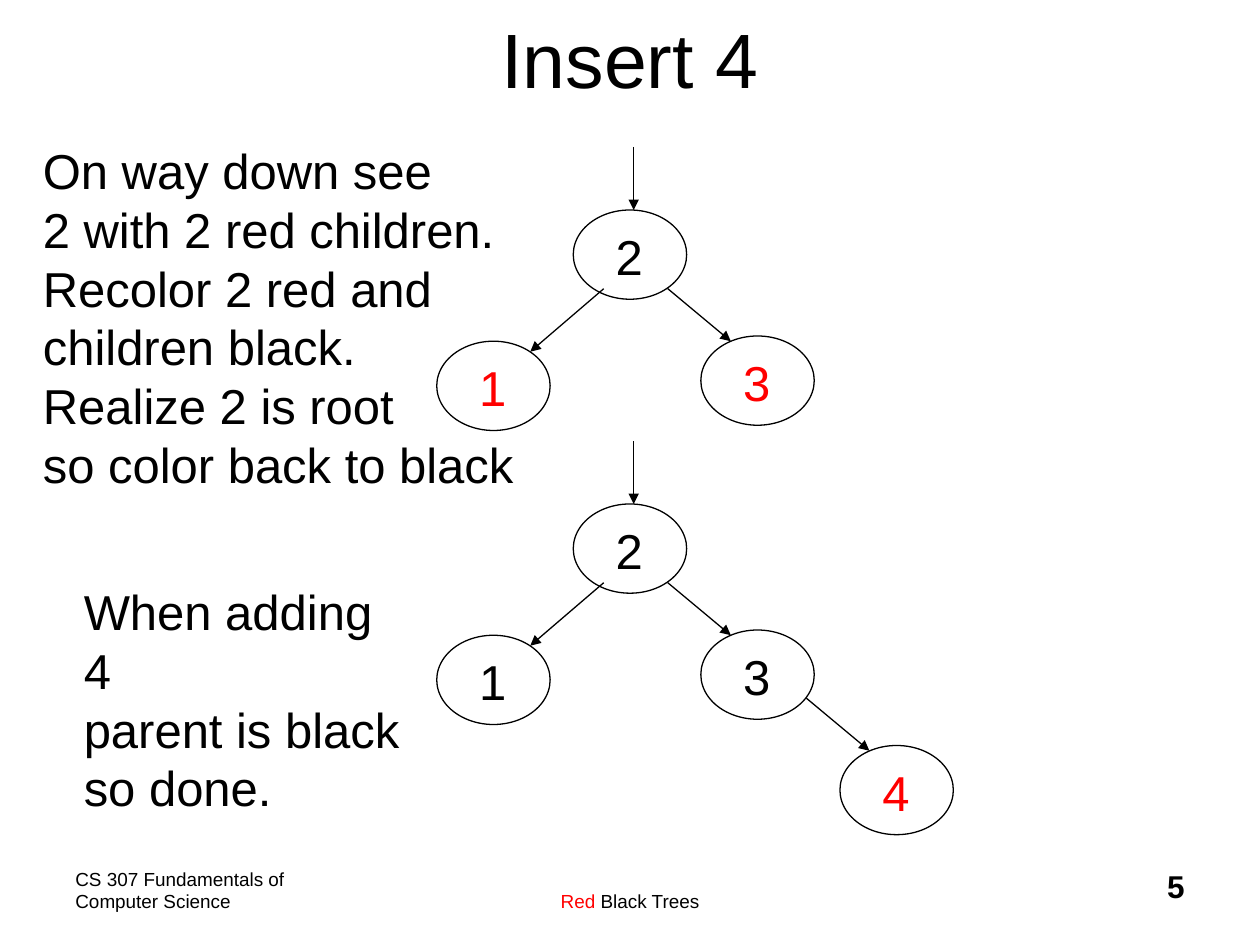
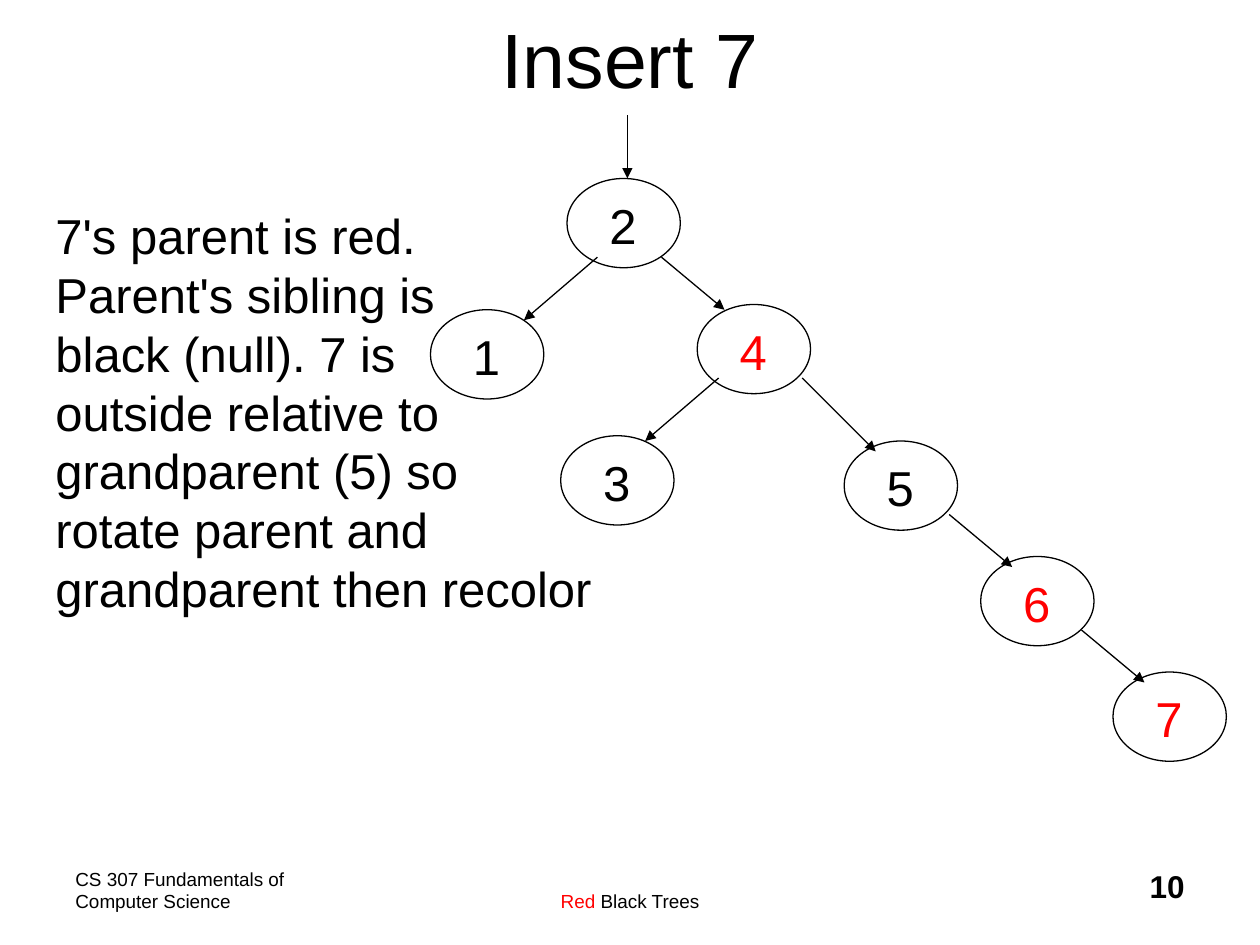
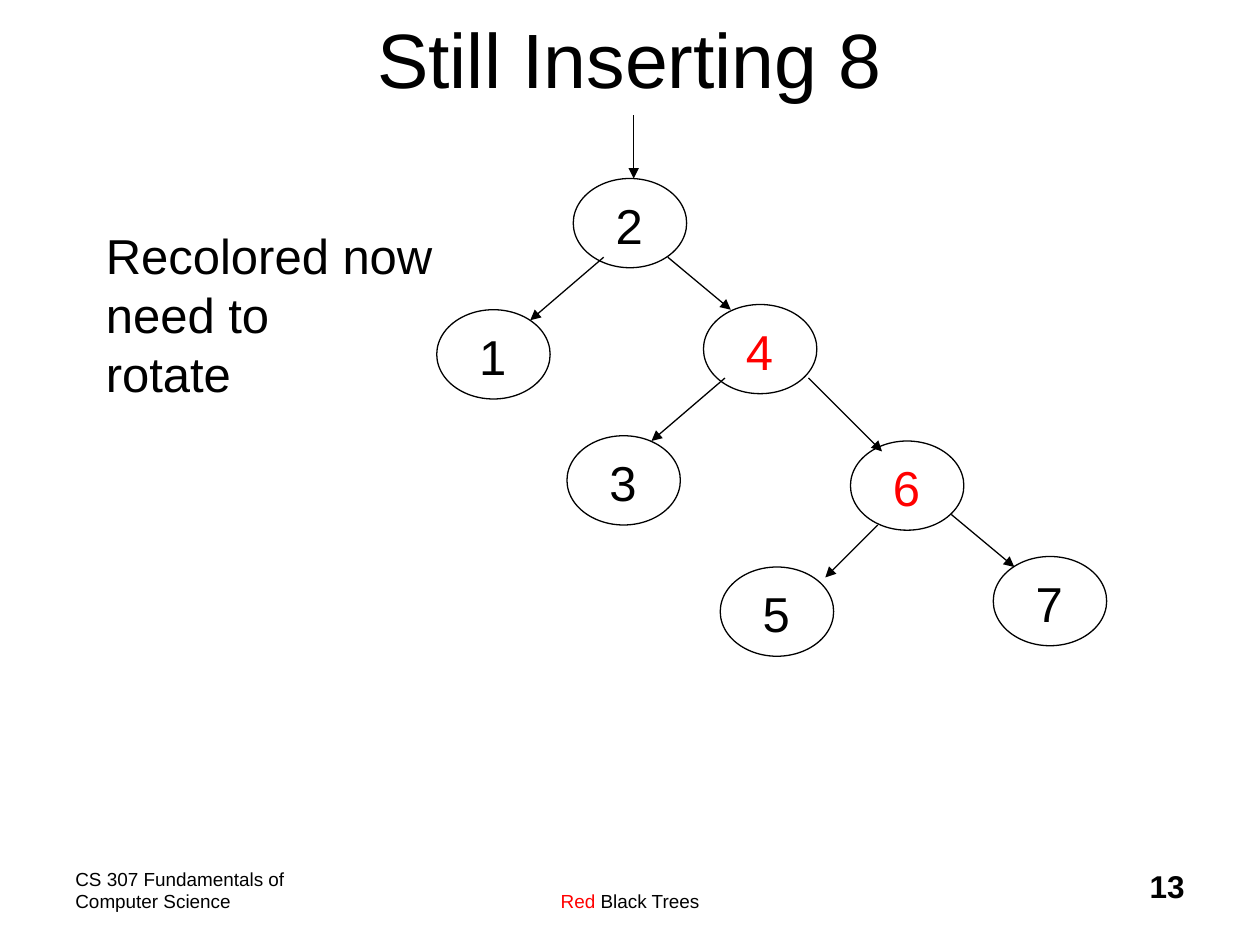
from dataclasses import dataclass

from lxml import etree
from pptx import Presentation
from pptx.dml.color import RGBColor
from pptx.enum.shapes import MSO_CONNECTOR, MSO_SHAPE
from pptx.enum.text import MSO_ANCHOR, MSO_AUTO_SIZE, PP_ALIGN
from pptx.oxml.ns import qn
from pptx.shapes.group import GroupShape
from pptx.slide import Slide
from pptx.text.text import TextFrame
from pptx.util import Inches, Pt

LEFT, CENTER, RIGHT = PP_ALIGN.LEFT, PP_ALIGN.CENTER, PP_ALIGN.RIGHT
MIDDLE, TOP = MSO_ANCHOR.MIDDLE, MSO_ANCHOR.TOP
FIT_SHAPE, FIXED_SIZE = MSO_AUTO_SIZE.SHAPE_TO_FIT_TEXT, MSO_AUTO_SIZE.NONE
ELLIPSE, STRAIGHT = MSO_SHAPE.OVAL, MSO_CONNECTOR.STRAIGHT

# The slide is a grid of 120 columns by 90 rows of square cells.
SLIDE_WIDTH, SLIDE_HEIGHT = Inches(10), Inches(7.5)
CELL = SLIDE_WIDTH / 120
TITLE_ONLY_LAYOUT = 5

Pair = tuple[float, float]
Box = tuple[float, float, float, float]


@dataclass(frozen=True)
class Theme:
    font: str = "Arial"
    black: RGBColor = RGBColor(0, 0, 0)
    red: RGBColor = RGBColor(255, 0, 0)
    title_size: float = 44
    text_size: float = 28
    number_size: float = 18
    footer_size: float = 10.8
    line_height: float = 1.2
    line_width: float = 0.75


THEME = Theme()


@dataclass(frozen=True)
class Run:
    text: str
    color: RGBColor = THEME.black


@dataclass(frozen=True)
class Node:
    """A tree node placed relative to its root, with the arrow that reaches it."""
    value: int
    offset: Pair
    arrow_span: Pair
    arrow_tip: Pair
    color: RGBColor = THEME.black


@dataclass(frozen=True)
class Tree:
    root: Pair
    nodes: list[Node]


@dataclass(frozen=True)
class Note:
    box: Box
    text: str


@dataclass(frozen=True)
class TreeSlide:
    title: str
    number: int
    trees: list[Tree]
    notes: list[Note]


TITLE_BOX: Box = (9, -2, 102, 15)
COURSE_BOX: Box = (6, 82, 30, 6)
TOPIC_BOX: Box = (37, 82, 46, 6)
NUMBER_BOX: Box = (89, 82, 25, 6)
NODE_SIZE: Pair = (10.8, 8.5)
LABEL_OFFSET: Pair = (2.85, 1)
LABEL_SIZE: Pair = (4.9, 6.8)

DOWN: Pair = (0, 6)
DOWN_RIGHT: Pair = (6, 5)
DOWN_LEFT: Pair = (-7, 6)
STEEP_RIGHT: Pair = (7, 7)
STEEP_LEFT: Pair = (-5, 5)

ROOT = Node(2, (0, 0), DOWN, (5.75, 0))


def one(color: RGBColor = THEME.black) -> Node:
    return Node(1, (-13, 12.5), DOWN_LEFT, (8.9, 1), color)


def three(color: RGBColor = THEME.black) -> Node:
    return Node(3, (12.15, 12), DOWN_RIGHT, (2.85, 0.5), color)


FOUR_OVER_THREE = [
    ROOT,
    one(),
    Node(4, (12.4, 12), DOWN_RIGHT, (2.6, 0.5), THEME.red),
    Node(3, (-0.6, 24.5), DOWN_LEFT, (8.05, 0.5)),
]

SLIDES = [
    TreeSlide(
        "Insert 4", 5,
        [
            Tree((54.6, 20), [ROOT, one(THEME.red), three(THEME.red)]),
            Tree((54.6, 48), [
                ROOT, one(), three(),
                Node(4, (25.4, 23), DOWN_RIGHT, (2.8, 0.5), THEME.red),
            ]),
        ],
        [
            Note((2.9, 12.8, 47.2, 34.8),
                 "On way down see\n2 with 2 red children.\nRecolor 2 red and\n"
                 "children black.\nRealize 2 is root\nso color back to black"),
            Note((6.8, 54.8, 33.7, 18),
                 "When adding 4\nparent is black\nso done."),
        ],
    ),
    TreeSlide(
        "Insert 7", 10,
        [Tree((54, 17), FOUR_OVER_THREE + [
            Node(5, (26.4, 25), STEEP_RIGHT, (3, 1)),
            Node(6, (39.4, 36), DOWN_RIGHT, (3, 1), THEME.red),
            Node(7, (52, 47), DOWN_RIGHT, (3, 1), THEME.red),
        ])],
        [Note((4.1, 19, 53.4, 40.4),
              "7's parent is red.\nParent's sibling is\nblack (null). 7 is\n"
              "outside relative to\ngrandparent (5) so\nrotate parent and\n"
              "grandparent then recolor")],
    ),
    TreeSlide(
        "Still Inserting 8", 13,
        [Tree((54.6, 17), FOUR_OVER_THREE + [
            Node(6, (26.4, 25), STEEP_RIGHT, (3, 1), THEME.red),
            Node(5, (14, 37), STEEP_LEFT, (10, 1)),
            Node(7, (40, 36), DOWN_RIGHT, (2, 1)),
        ])],
        [Note((8.9, 20.9, 33.5, 18), "Recolored now\nneed to\nrotate")],
    ),
]


def cells(*counts: float) -> list[int]:
    return [round(count * CELL) for count in counts]


def shift(point: Pair, move: Pair, sign: int = 1) -> Pair:
    return point[0] + sign * move[0], point[1] + sign * move[1]


def write(frame: TextFrame, runs: list[Run], size: float,
          align: PP_ALIGN = LEFT, bold: bool = False) -> None:
    """Fill the first paragraph; a newline in a run becomes a line break."""
    paragraph = frame.paragraphs[0]
    paragraph.alignment = align
    paragraph.line_spacing = Pt(THEME.line_height * size)
    for piece in runs:
        for index, line in enumerate(piece.text.split("\n")):
            if index:
                paragraph.add_line_break()
            run = paragraph.add_run()
            run.text = line
            run.font.name = THEME.font
            run.font.size = Pt(size)
            run.font.bold = bold
            run.font.color.rgb = piece.color


def add_text(parent: Slide | GroupShape, box: Box, runs: list[Run], size: float,
             align: PP_ALIGN = LEFT, bold: bool = False,
             wrap: bool = False) -> TextFrame:
    frame = parent.shapes.add_textbox(*cells(*box)).text_frame
    frame.word_wrap = wrap
    frame.auto_size = FIXED_SIZE if wrap else FIT_SHAPE
    frame.vertical_anchor = TOP
    write(frame, runs, size, align, bold)
    return frame


def add_title(slide: Slide, text: str) -> None:
    title = slide.shapes.title
    title.left, title.top, title.width, title.height = cells(*TITLE_BOX)
    title.text_frame.vertical_anchor = MIDDLE
    title.text_frame.auto_size = FIXED_SIZE
    write(title.text_frame, [Run(text)], THEME.title_size, CENTER)


def add_footers(slide: Slide, number: int) -> None:
    add_text(slide, COURSE_BOX, [Run("CS 307 Fundamentals of Computer Science")],
             THEME.footer_size, wrap=True)
    topic = add_text(slide, TOPIC_BOX, [Run("Red", THEME.red), Run(" Black Trees")],
                     THEME.footer_size, CENTER, wrap=True)
    topic.margin_top += Pt(THEME.line_height * THEME.footer_size)
    add_text(slide, NUMBER_BOX, [Run(str(number))], THEME.number_size,
             RIGHT, bold=True, wrap=True)


def add_arrow(slide: Slide, start: Pair, tip: Pair) -> None:
    arrow = slide.shapes.add_connector(STRAIGHT, *cells(*start, *tip))
    arrow.line.color.rgb = THEME.black
    arrow.line.width = Pt(THEME.line_width)
    etree.SubElement(arrow.line._get_or_add_ln(), qn("a:tailEnd"), type="triangle")
    etree.SubElement(arrow._element.spPr, qn("a:effectLst"))


def add_node(slide: Slide, node: Node, corner: Pair) -> None:
    group = slide.shapes.add_group_shape()
    ellipse = group.shapes.add_shape(ELLIPSE, *cells(*corner, *NODE_SIZE))
    ellipse.shadow.inherit = False
    ellipse.fill.background()
    ellipse.line.color.rgb = THEME.black
    ellipse.line.width = Pt(THEME.line_width)
    add_text(group, (*shift(corner, LABEL_OFFSET), *LABEL_SIZE),
             [Run(str(node.value), node.color)], THEME.text_size)


def add_tree(slide: Slide, tree: Tree) -> None:
    for node in tree.nodes:
        corner = shift(tree.root, node.offset)
        tip = shift(corner, node.arrow_tip)
        add_node(slide, node, corner)
        add_arrow(slide, shift(tip, node.arrow_span, -1), tip)


def main() -> None:
    presentation = Presentation()
    presentation.slide_width, presentation.slide_height = SLIDE_WIDTH, SLIDE_HEIGHT
    layout = presentation.slide_layouts[TITLE_ONLY_LAYOUT]
    for content in SLIDES:
        slide = presentation.slides.add_slide(layout)
        add_footers(slide, content.number)
        add_title(slide, content.title)
        for tree in content.trees:
            add_tree(slide, tree)
        for note in content.notes:
            add_text(slide, note.box, [Run(note.text)], THEME.text_size)
    presentation.save("out.pptx")


if __name__ == "__main__":
    main()
